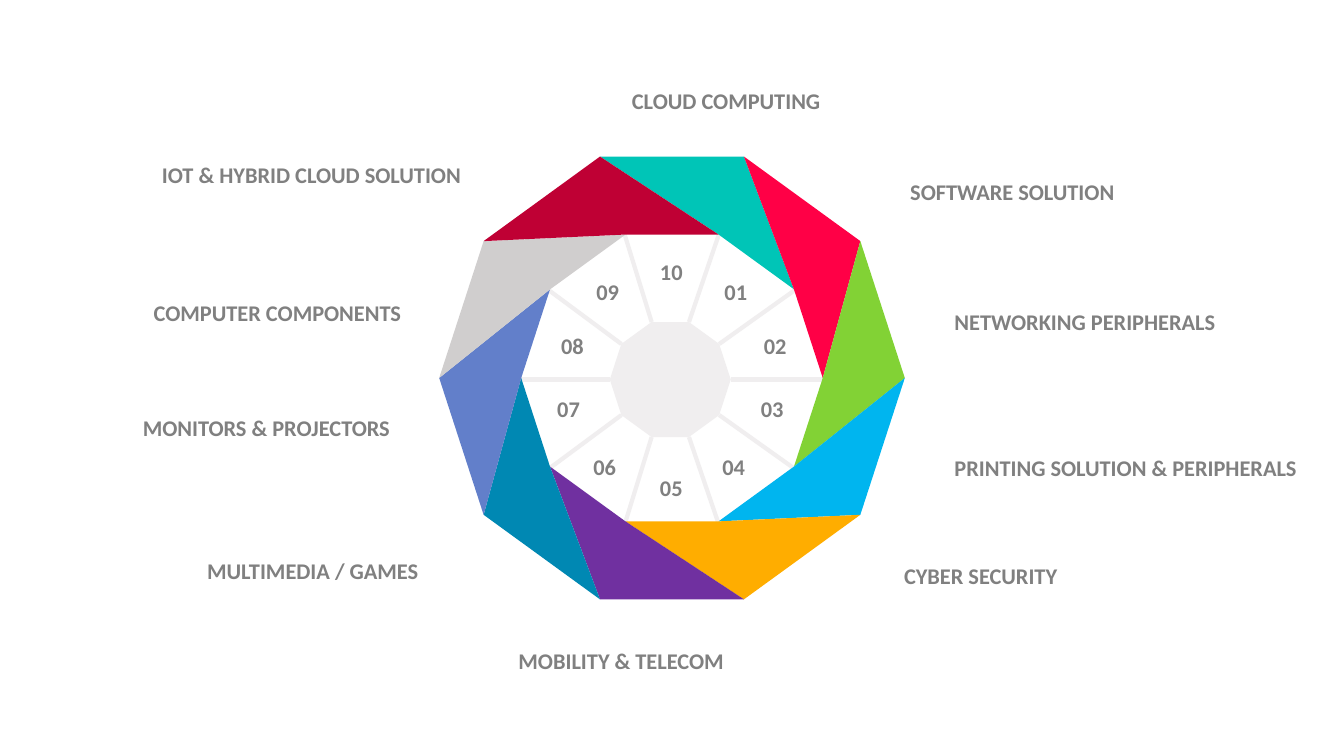
from dataclasses import dataclass
from math import cos, radians, sin

from pptx import Presentation
from pptx.dml.color import RGBColor
from pptx.enum.shapes import MSO_CONNECTOR
from pptx.enum.text import MSO_ANCHOR, MSO_AUTO_SIZE, PP_ALIGN
from pptx.oxml.ns import qn
from pptx.slide import Slide
from pptx.util import Length, Pt

LEFT, MID, RIGHT = PP_ALIGN.LEFT, PP_ALIGN.CENTER, PP_ALIGN.RIGHT
BOTTOM, MIDDLE = MSO_ANCHOR.BOTTOM, MSO_ANCHOR.MIDDLE
FIT = MSO_AUTO_SIZE.SHAPE_TO_FIT_TEXT
STRAIGHT = MSO_CONNECTOR.STRAIGHT

SIDES = 10
Point = tuple[Length, Length]


@dataclass(frozen=True)
class Theme:
    font: str = "Calibri"
    size: Length = Pt(16)
    text: str = "808080"
    hub: str = "F0EEEF"
    spoke: Length = Pt(3)
    row: Length = Pt(26.6)
    digit: Length = Pt(44.6)


@dataclass(frozen=True)
class Ring:
    x: float
    y: float
    radius: float

    def corner(self, step: int) -> Point:
        """Corner of the decagon, counted anticlockwise from the right."""
        turn = radians(step * 360 / SIDES)
        return (Pt(self.x + self.radius * cos(turn)),
                Pt(self.y - self.radius * sin(turn)))


@dataclass(frozen=True)
class Sector:
    name: str
    color: str
    left: float
    top: float
    width: float
    align: PP_ALIGN
    num_x: float
    num_y: float


THEME = Theme()
OUTER = Ring(480, 270, 166.3)
INNER = Ring(480, 270, 107.7)
WHEEL = Ring(479.9, 271.1, 112.7)
HUB = Ring(478.8, 271.1, 43.2)

# Clockwise from the top blade
SECTORS = [
    Sector("CLOUD COMPUTING", "00C5B7", 451.4, 58.3, 230.4, LEFT, 503.3, 195.1),
    Sector("SOFTWARE SOLUTION", "FF0046", 650.2, 123.1, 168.5, LEFT, 531.4, 233.3),
    Sector("NETWORKING PERIPHERALS", "82D235", 681.8, 216, 260.6, LEFT, 529.2, 278.6),
    Sector("PRINTING SOLUTION & PERIPHERALS", "00B5EF", 681.8, 320.4, 260.6, LEFT,
           501.8, 319.7),
    Sector("CYBER SECURITY", "FFAD00", 645.8, 397.4, 230.4, LEFT, 457.2, 334.8),
    Sector("MOBILITY & TELECOM", "7030A0", 286.6, 458.6, 230.4, RIGHT, 409.7, 319.7),
    Sector("MULTIMEDIA / GAMES", "0088B3", 68.4, 393.8, 230.4, RIGHT, 383.8, 278.6),
    Sector("MONITORS & PROJECTORS", "627FCA", 12.2, 292.3, 266.4, RIGHT, 386.6, 233.3),
    Sector("COMPUTER COMPONENTS", "D0CECE", 20.2, 209.5, 266.4, RIGHT, 411.8, 195.1),
    Sector("IOT & HYBRID CLOUD SOLUTION", "BF0034", 52.6, 111.6, 339.8, MID,
           457.2, 180.7),
]


def add_area(slide: Slide, points: list[Point], color: str) -> None:
    pen = slide.shapes.build_freeform(*points[0])
    pen.add_line_segments(points[1:], close=True)
    area = pen.convert_to_shape()
    area.shadow.inherit = False
    area.fill.solid()
    area.fill.fore_color.rgb = RGBColor.from_string(color)
    area.line.fill.background()


def add_spoke(slide: Slide, start: Point, end: Point) -> None:
    spoke = slide.shapes.add_connector(STRAIGHT, *start, *end)
    spoke.line.color.rgb = RGBColor.from_string(THEME.hub)
    spoke.line.width = THEME.spoke
    props = spoke.element.spPr
    props.append(props.makeelement(qn("a:effectLst"), {}))


def add_text(slide: Slide, text: str, at: Point, width: Length,
             align: PP_ALIGN, anchor: MSO_ANCHOR, inset: Length) -> None:
    box = slide.shapes.add_textbox(*at, width, THEME.row)
    frame = box.text_frame
    frame.word_wrap = True
    frame.auto_size = FIT
    frame.vertical_anchor = anchor
    frame.margin_left = frame.margin_right = inset
    frame.text = text
    para = frame.paragraphs[0]
    para.alignment = align
    font = para.runs[0].font
    font.name, font.size, font.bold = THEME.font, THEME.size, True
    font.color.rgb = RGBColor.from_string(THEME.text)


def build() -> None:
    deck = Presentation()
    deck.slide_width, deck.slide_height = Pt(960), Pt(540)
    slide = deck.slides.add_slide(deck.slide_layouts[6])

    # Labels around the wheel
    for item in SECTORS:
        add_text(slide, item.name, (Pt(item.left), Pt(item.top)),
                 Pt(item.width), item.align, BOTTOM, Pt(0))

    # Hub and spokes
    add_area(slide, [HUB.corner(i) for i in range(SIDES)], THEME.hub)
    for i in range(SIDES):
        add_spoke(slide, WHEEL.corner(i), HUB.corner(i))

    # Twisted blades
    for i, item in enumerate(SECTORS):
        step = 2 - i
        blade = [OUTER.corner(step + 1), OUTER.corner(step),
                 INNER.corner(step - 1), INNER.corner(step)]
        add_area(slide, blade, item.color)

    # Numbers inside the wheel
    for i, item in enumerate(SECTORS, start=1):
        add_text(slide, f"{i:02}", (Pt(item.num_x), Pt(item.num_y)),
                 THEME.digit, MID, MIDDLE, Pt(7.2))

    deck.save("out.pptx")


if __name__ == "__main__":
    build()
